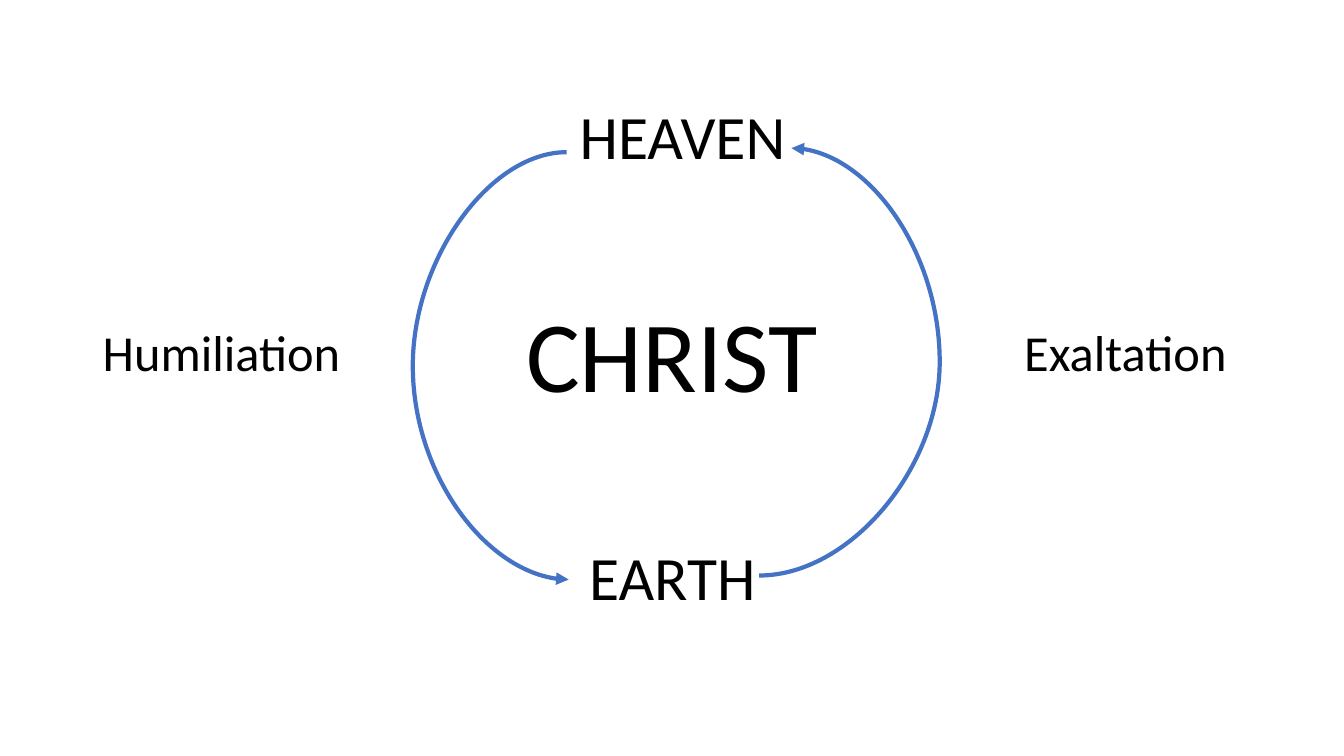
from lxml.etree import SubElement
from pptx import Presentation
from pptx.dml.color import RGBColor
from pptx.enum.shapes import MSO_CONNECTOR
from pptx.enum.text import MSO_ANCHOR, MSO_AUTO_SIZE, PP_ALIGN
from pptx.oxml.ns import qn
from pptx.util import Inches, Pt

BLACK = "000000"
BLUE = "4472C4"


def color(code):
    return RGBColor.from_string(code)


def add_text(slide, text, box, size=36, align=PP_ALIGN.LEFT,
             anchor=MSO_ANCHOR.TOP, fit=MSO_AUTO_SIZE.SHAPE_TO_FIT_TEXT,
             spacing=None):
    shape = slide.shapes.add_textbox(*map(Inches, box))
    frame = shape.text_frame
    frame.word_wrap = True
    frame.auto_size = fit
    frame.vertical_anchor = anchor
    para = frame.paragraphs[0]
    para.text = text
    para.alignment = align
    para.line_spacing = spacing
    font = para.runs[0].font
    font.name = "Calibri"
    font.size = Pt(size)
    font.color.rgb = color(BLACK)


def add_arc(slide, start, end, bend):
    """Draw a curved arrow whose far side lies at x = bend."""
    line = slide.shapes.add_connector(
        MSO_CONNECTOR.CURVE, *map(Inches, start + end))
    line.line.color.rgb = color(BLUE)
    line.line.width = Pt(3)
    props = line._element.spPr
    guides = props.find(qn("a:prstGeom")).find(qn("a:avLst"))
    ratio = (bend - start[0]) / (end[0] - start[0])
    SubElement(guides, qn("a:gd"), name="adj1",
               fmla=f"val {round(ratio * 100000)}")
    SubElement(props.find(qn("a:ln")), qn("a:tailEnd"), type="triangle")
    SubElement(props, qn("a:effectLst"))


def add_pole(slide, text, left, top):
    add_text(slide, text, (left, top, 11.5, 1.45), size=44,
             align=PP_ALIGN.CENTER, anchor=MSO_ANCHOR.MIDDLE,
             fit=MSO_AUTO_SIZE.NONE, spacing=0.9)


def add_cycle(slide, left, top):
    """Place the poles, arrows and labels from the top left corner."""
    add_pole(slide, "HEAVEN", left + 0.1, top)
    add_pole(slide, "EARTH", left, top + 4.37)
    arcs = [((4.7, 0.85), (4.72, 5.09), 3.18),
            ((6.61, 5.05), (6.93, 0.81), 8.4)]
    for start, end, bend in arcs:
        add_arc(slide, (left + start[0], top + start[1]),
                (left + end[0], top + end[1]), left + bend)
    for text, shift in (("Humiliation", 0), ("Exaltation", 9.14)):
        add_text(slide, text, (left + shift, top + 2.48, 2.59, 0.7))
    add_text(slide, "CHRIST", (left + 3.74, top + 2.18, 4.01, 1.3),
             size=72, align=PP_ALIGN.CENTER)


def main():
    deck = Presentation()
    deck.slide_width = Inches(13.33)
    deck.slide_height = Inches(7.5)
    slide = deck.slides.add_slide(deck.slide_layouts[6])
    add_cycle(slide, 0.92, 0.66)
    deck.save("out.pptx")


if __name__ == "__main__":
    main()
